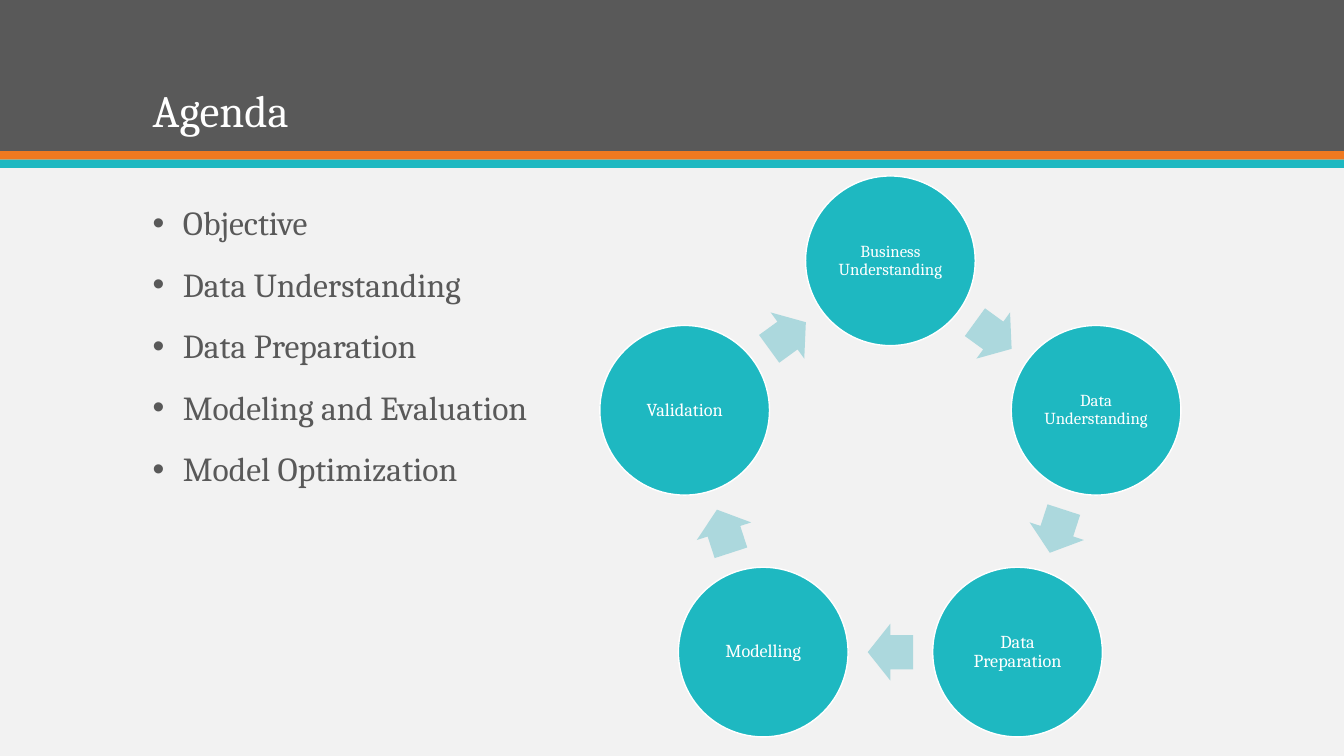
from math import cos, radians, sin

from lxml.etree import SubElement
from pptx import Presentation
from pptx.dml.color import RGBColor
from pptx.enum.shapes import MSO_SHAPE as Shape
from pptx.enum.text import MSO_ANCHOR as Anchor, PP_ALIGN as Align
from pptx.oxml.ns import qn
from pptx.util import Inches, Pt

COLORS = {
    "background": "F2F2F2",
    "gray": "595959",
    "orange": "EF7920",
    "teal": "1EB8C1",
    "pale": "ACD8DD",
    "white": "FFFFFF",
}
FONT = "Cambria"
COLUMNS, ROWS = 160, 90

deck = Presentation()
deck.slide_width, deck.slide_height = Inches(13.333), Inches(7.5)
cell = deck.slide_height / ROWS
page = deck.slides.add_slide(deck.slide_layouts[6])
page.background.fill.solid()
page.background.fill.fore_color.rgb = RGBColor.from_string(COLORS["background"])


def add_filled(kind, left, top, width, height, color):
    """Add a borderless preset shape, placed in grid cells."""
    shape = page.shapes.add_shape(
        kind, *(round(length * cell) for length in (left, top, width, height)))
    shape.shadow.inherit = False
    shape.fill.solid()
    shape.fill.fore_color.rgb = RGBColor.from_string(COLORS[color])
    shape.line.fill.background()
    return shape


def write(frame, lines, size, color):
    """Fill a text frame with one styled paragraph per line."""
    frame.word_wrap = True
    frame.text = "\n".join(lines)
    for para in frame.paragraphs:
        para.line_spacing = 0.9
        for span in para.runs:
            span.font.name = FONT
            span.font.size = Pt(size)
            span.font.color.rgb = RGBColor.from_string(COLORS[color])


# Header band with its two stripes
for top, height, color in [(0, 18, "gray"), (18, 1, "orange"), (19, 1, "teal")]:
    add_filled(Shape.RECTANGLE, 0, top, COLUMNS, height, color)

# Cycle of project steps, clockwise from the top
steps = [
    ("Business Understanding", 12),
    ("Data Understanding", 12),
    ("Data Preparation", 13),
    ("Modelling", 13),
    ("Validation", 13),
]
center_x, center_y, radius = 106, 56.8, 25.75
diameter = 20.2
arrow_width, arrow_height = 5.4, 6.8
turn = 360 / len(steps)
arrow_radius = radius * cos(radians(turn / 2))

for index, (label, size) in enumerate(steps):
    angle = radians(index * turn)
    circle = add_filled(
        Shape.OVAL,
        center_x + radius * sin(angle) - diameter / 2,
        center_y - radius * cos(angle) - diameter / 2,
        diameter, diameter, "teal")
    circle.line.color.rgb = RGBColor.from_string(COLORS["white"])
    circle.line.width = Pt(1)
    frame = circle.text_frame
    frame.margin_left = frame.margin_right = Inches(0.02)
    frame.margin_top = frame.margin_bottom = Inches(0.02)
    frame.vertical_anchor = Anchor.MIDDLE
    write(frame, [label], size, "white")
    frame.paragraphs[0].alignment = Align.CENTER

    heading = (index + 0.5) * turn
    arrow = add_filled(
        Shape.RIGHT_ARROW,
        center_x + arrow_radius * sin(radians(heading)) - arrow_width / 2,
        center_y - arrow_radius * cos(radians(heading)) - arrow_height / 2,
        arrow_width, arrow_height, "pale")
    arrow.adjustments[0], arrow.adjustments[1] = 0.6, 0.5
    arrow.rotation = heading

# Title and agenda share the same left edge and width
margin, text_width = round(17 * cell), round(126 * cell)
title = page.shapes.add_textbox(margin, round(3.4 * cell), text_width, round(13.5 * cell))
title.text_frame.vertical_anchor = Anchor.BOTTOM
write(title.text_frame, ["Agenda"], 32, "white")

agenda = page.shapes.add_textbox(margin, round(24 * cell), text_width, round(57 * cell))
write(agenda.text_frame, [
    "Objective",
    "Data Understanding",
    "Data Preparation",
    "Modeling and Evaluation",
    "Model Optimization",
], 24, "gray")
for para in agenda.text_frame.paragraphs:
    para.space_before = Pt(18)
    properties = para._p.get_or_add_pPr()
    properties.set("marL", str(Inches(0.3)))
    properties.set("indent", str(-Inches(0.3)))
    SubElement(properties, qn("a:buFont"), typeface="Arial")
    SubElement(properties, qn("a:buChar"), char="•")

deck.save("out.pptx")
